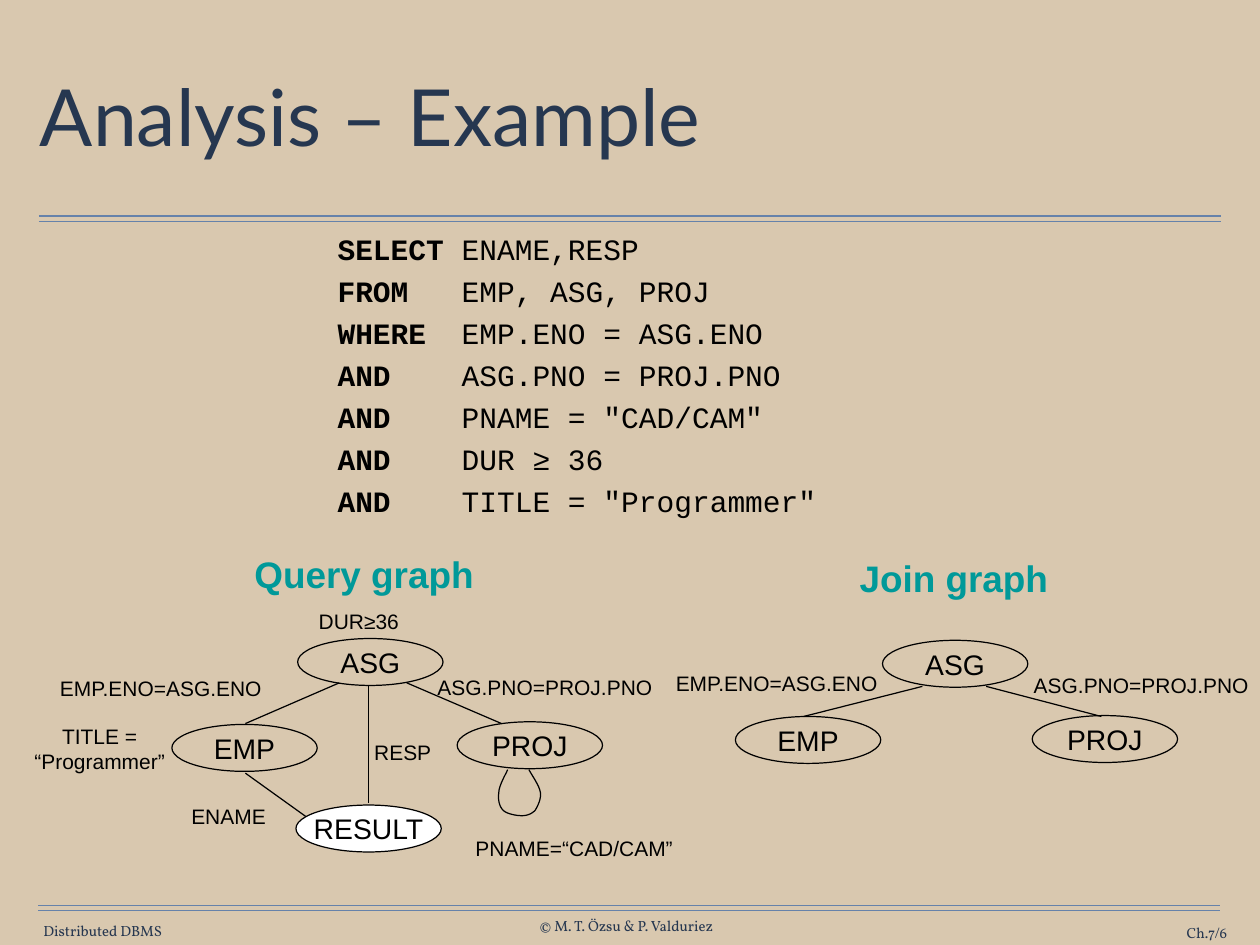
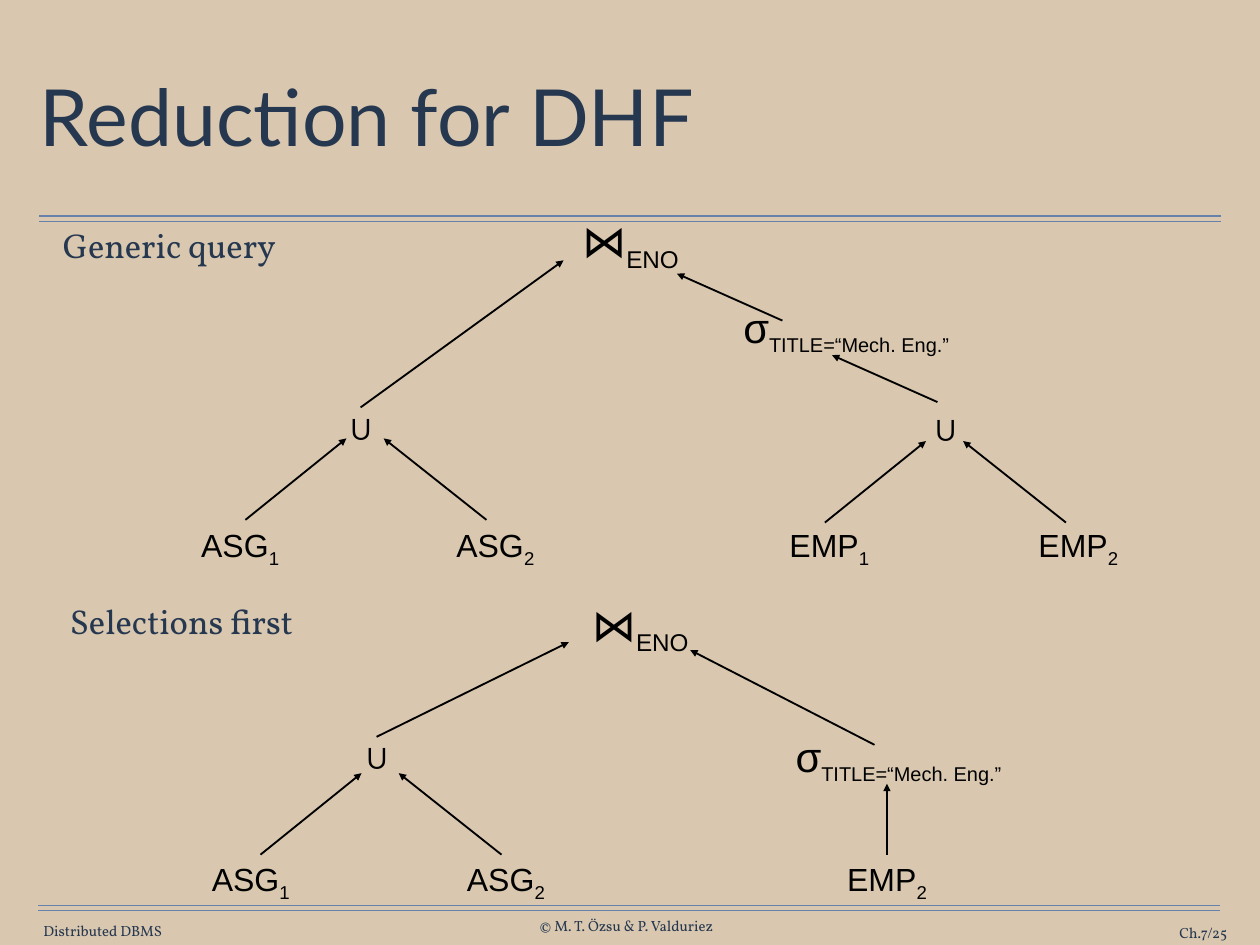
from lxml import etree
from pptx import Presentation
from pptx.dml.color import RGBColor
from pptx.enum.shapes import MSO_CONNECTOR, MSO_SHAPE
from pptx.enum.text import MSO_ANCHOR, PP_ALIGN
from pptx.oxml.ns import qn
from pptx.util import Pt

PX = 9144
SAND = RGBColor(0xD9, 0xC8, 0xAF)
RULE = RGBColor(0x66, 0x82, 0xAA)
NAVY = RGBColor(0x26, 0x37, 0x50)
TEAL = RGBColor(0x00, 0x99, 0x99)
INK = RGBColor(0x00, 0x00, 0x00)
WHITE = RGBColor(0xFF, 0xFF, 0xFF)
SANS, MONO, SERIF, HEAD = "Arial", "Courier New", "Vollkorn", "Lato"
LEFT, MID, RIGHT = PP_ALIGN.LEFT, PP_ALIGN.CENTER, PP_ALIGN.RIGHT
TOP, CORE = MSO_ANCHOR.TOP, MSO_ANCHOR.MIDDLE
OVAL, LINE = MSO_SHAPE.OVAL, MSO_CONNECTOR.STRAIGHT

QUERY = [
    ("SELECT", "ENAME,RESP"),
    ("FROM", "EMP, ASG, PROJ"),
    ("WHERE", "EMP.ENO = ASG.ENO"),
    ("AND", "ASG.PNO = PROJ.PNO"),
    ("AND", 'PNAME = "CAD/CAM"'),
    ("AND", "DUR ≥ 36"),
    ("AND", 'TITLE = "Programmer"'),
]


def emu(*nums):
    """Turn px into EMU."""
    return [int(n * PX) for n in nums]


def shift(box, x, y):
    """Move a box by an origin."""
    return (box[0] + x, box[1] + y, *box[2:])


def style(run, size, font=SANS, color=INK, bold=False, sub=False):
    """Format one run."""
    run.font.size = Pt(size)
    run.font.name = font
    run.font.bold = bold
    run.font.color.rgb = color
    if sub:
        run._r.get_or_add_rPr().set("baseline", "-25000")


def frame(shape, pad, wrap=False, anchor=TOP):
    """Set up the text frame of a shape."""
    body = shape.text_frame
    body.margin_left, body.margin_top = emu(*pad)
    body.margin_right, body.margin_bottom = emu(*pad)
    body.word_wrap = wrap
    body.vertical_anchor = anchor
    return body


def write(body, words, size, font=SANS, color=INK, bold=False, align=MID,
          space=None):
    """Fill a text frame with plain text."""
    body.text = words
    for para in body.paragraphs:
        para.alignment = align
        para.line_spacing = space
        for run in para.runs:
            style(run, size, font, color, bold)


def label(slide, box, words, size=17, pad=(14, 7), wrap=False, anchor=TOP,
          **look):
    """Add a text box."""
    shape = slide.shapes.add_textbox(*emu(*box))
    write(frame(shape, pad, wrap, anchor), words, size, **look)


def sign(slide, box, base, size, sub, small, font=SANS, wrap=False):
    """Add a sign with a subscript."""
    body = frame(slide.shapes.add_textbox(*emu(*box)), (14, 7), wrap)
    para = body.paragraphs[0]
    para.alignment = MID
    for words in (base, sub):
        para.add_run().text = words
    style(para.runs[0], size, font)
    style(para.runs[1], small, sub=True)


def link(slide, ends, color=INK, width=1, arrow=False):
    """Draw a line or an arrow."""
    line = slide.shapes.add_connector(LINE, *emu(*ends))
    line.line.color.rgb = color
    line.line.width = Pt(width)
    if arrow:
        etree.SubElement(line.line._get_or_add_ln(), qn("a:tailEnd"),
                         type="triangle")
    etree.SubElement(line._element.spPr, qn("a:effectLst"))


def node(slide, box, words, fill=None):
    """Draw a named ellipse."""
    oval = slide.shapes.add_shape(OVAL, *emu(*box))
    trim(oval, fill)
    write(frame(oval, (0, 0), anchor=CORE), words, 23)


def trim(shape, fill=None):
    """Set outline and fill, without shadow."""
    shape.shadow.inherit = False
    shape.line.color.rgb = INK
    shape.line.width = Pt(1)
    if fill is None:
        shape.fill.background()
    else:
        shape.fill.solid()
        shape.fill.fore_color.rgb = fill


def loop(slide, x, y, start, curves):
    """Draw an open outline through cubic curves."""
    dots, here = [], start
    for one, two, end in curves:
        for step in range(1, 9):
            t = step / 8
            u = 1 - t
            dots.append([u**3 * a + 3 * u * u * t * b + 3 * u * t * t * c
                         + t**3 * d for a, b, c, d in zip(here, one, two, end)])
        here = end
    path = slide.shapes.build_freeform(*emu(start[0] + x, start[1] + y))
    path.add_line_segments([emu(a + x, b + y) for a, b in dots], close=False)
    trim(path.convert_to_shape())


def page(deck, title, num):
    """Add a slide with title, rules and footer."""
    slide = deck.slides.add_slide(deck.slide_layouts[6])
    slide.background.fill.solid()
    slide.background.fill.fore_color.rgb = SAND
    for x, y in ((44, 244), (43, 1022)):
        for gap in (0, 6):
            link(slide, (x, y + gap, x + 1334, y + gap), RULE)
    for box, words, align in (
            ((47, 1041, 138, 20), "Distributed DBMS", MID),
            ((603, 1035, 208, 20), "© M. T. Özsu & P. Valduriez", MID),
            ((1231, 1043, 154, 20), f"Ch.7/{num}", RIGHT)):
        label(slide, box, words, 12, (0, 0), align == RIGHT, CORE,
              font=SERIF, color=NAVY, align=align)
    label(slide, (39, 49, 1344, 176), title, 64, (6, 6), True, CORE,
          font=HEAD, color=NAVY, align=LEFT, space=0.9)
    return slide


def code(slide, box):
    """Set the query in two tabbed columns."""
    body = frame(slide.shapes.add_textbox(*emu(*box)), (6, 6), True)
    for i, (key, rest) in enumerate(QUERY):
        para = body.add_paragraph() if i else body.paragraphs[0]
        para.space_before = Pt(5.3)
        tabs = etree.SubElement(para._p.get_or_add_pPr(), qn("a:tabLst"))
        etree.SubElement(tabs, qn("a:tab"), pos=str(140 * PX), algn="l")
        for words, bold in ((key, True), ("\t" + rest, False)):
            run = para.add_run()
            run.text = words
            style(run, 24, MONO, bold=bold)


def graph(slide, x, y, head, title, edges, nodes, notes):
    """Draw a titled graph from its origin."""
    label(slide, shift(head, x, y), title, 30, (10, 4),
          color=TEAL, bold=True, space=0.85)
    for a, b, c, d in edges:
        link(slide, (a + x, b + y, c + x, d + y))
    for left, top, name in nodes:
        node(slide, (left + x, top + y, 164, 53), name,
             WHITE if name == "RESULT" else None)
    for *box, words in notes:
        label(slide, shift(box, x, y), words)


def query(slide, x, y):
    """Draw the query graph."""
    graph(slide, x, y, (256, 7, 270, 52), "Query graph",
          [(257, 253, 328, 304), (439, 151, 546, 197),
           (396, 154, 396, 287), (363, 151, 257, 197)],
          [(314, 289, "RESULT"), (316, 101, "ASG"),
           (496, 195, "PROJ"), (174, 198, "EMP")],
          [(325, 60, 120, 43, "DUR≥36"),
           (501, 316, 254, 43, "PNAME=“CAD/CAM”"),
           (181, 280, 114, 43, "ENAME"),
           (32, 136, 259, 43, "EMP.ENO=ASG.ENO"),
           (457, 135, 276, 43, "ASG.PNO=PROJ.PNO"),
           (4, 190, 177, 71, "TITLE =\n“Programmer”"),
           (388, 208, 93, 43, "RESP")])
    loop(slide, x, y, (553, 249), [
        ((551, 254), (543, 267), (543, 275)),
        ((542, 282), (543, 290), (548, 295)),
        ((552, 299), (563, 301), (569, 301)),
        ((575, 301), (580, 299), (584, 295)),
        ((587, 290), (591, 282), (590, 275)),
        ((589, 267), (580, 255), (577, 249))])


def join(slide, x, y):
    """Draw the join graph."""
    graph(slide, x, y, (219, 11, 235, 52), "Join graph",
          [(301, 155, 167, 189), (373, 155, 503, 189)],
          [(256, 103, "ASG"), (90, 189, "EMP"), (425, 188, "PROJ")],
          [(410, 132, 276, 43, "ASG.PNO=PROJ.PNO"),
           (7, 130, 259, 43, "EMP.ENO=ASG.ENO")])


def leaf(slide, x, y, name, num):
    """Name one fragment."""
    sign(slide, (x, y, 120, 58), name, 26, str(num), 26)


def fork(slide, x, y, name, gap, top, foot):
    """Draw a union over two fragments."""
    label(slide, (x + top[0], y + top[1], 59, 61), "∪", 28)
    for i in range(2):
        leaf(slide, x + i * gap, y, name, i + 1)
    a, b = x + foot[0], y + foot[1]
    for low, high in ((0, 114), (272, 156)):
        link(slide, (a + low, b, a + high, b - 92), width=1.5, arrow=True)


def tree(slide, x, y, title, root, pick, arrows):
    """Draw heading, join, selection and long arrows of a tree."""
    label(slide, (x, y, 376, 75), title, 28, wrap=True,
          font=SERIF, color=NAVY, align=LEFT)
    sign(slide, (x + root[0], y + root[1], 157, 75), "⋈", 36, "ENO", 34,
         SERIF, True)
    sign(slide, (x + pick[0], y + pick[1], 294, 71), "σ", 34,
         "TITLE=“Mech. Eng.”", 28)
    for a, b, c, d in arrows:
        link(slide, (a + x, b + y, c + x, d + y), width=1.5, arrow=True)


def whole(slide, x, y):
    """Draw the generic query."""
    tree(slide, x, y, "Generic query", (576, -12), (751, 88),
         [(1001, 208, 882, 155), (826, 116, 707, 63), (350, 214, 579, 48)])
    fork(slide, x + 154, y + 340, "ASG", 288, (167, -134), (66, 1))
    fork(slide, x + 819, y + 340, "EMP", 281, (162, -133), (55, 4))


def first(slide, x, y):
    """Draw the query with selections first."""
    tree(slide, x, y, "Selections first", (579, -4), (802, 147),
         [(360, 161, 577, 54), (922, 170, 714, 63), (936, 294, 936, 214)])
    fork(slide, x + 158, y + 293, "ASG", 288, (173, -141), (71, 1))
    leaf(slide, x + 876, y + 293, "EMP", 2)


def main():
    """Build the deck."""
    deck = Presentation()
    deck.slide_width, deck.slide_height = emu(1422, 1067)
    slide = page(deck, "Analysis – Example", 6)
    code(slide, (375, 255, 787, 365))
    query(slide, 20, 620)
    join(slide, 740, 620)
    slide = page(deck, "Reduction for DHF", 25)
    whole(slide, 57, 246)
    first(slide, 65, 671)
    deck.save("out.pptx")


if __name__ == "__main__":
    main()
